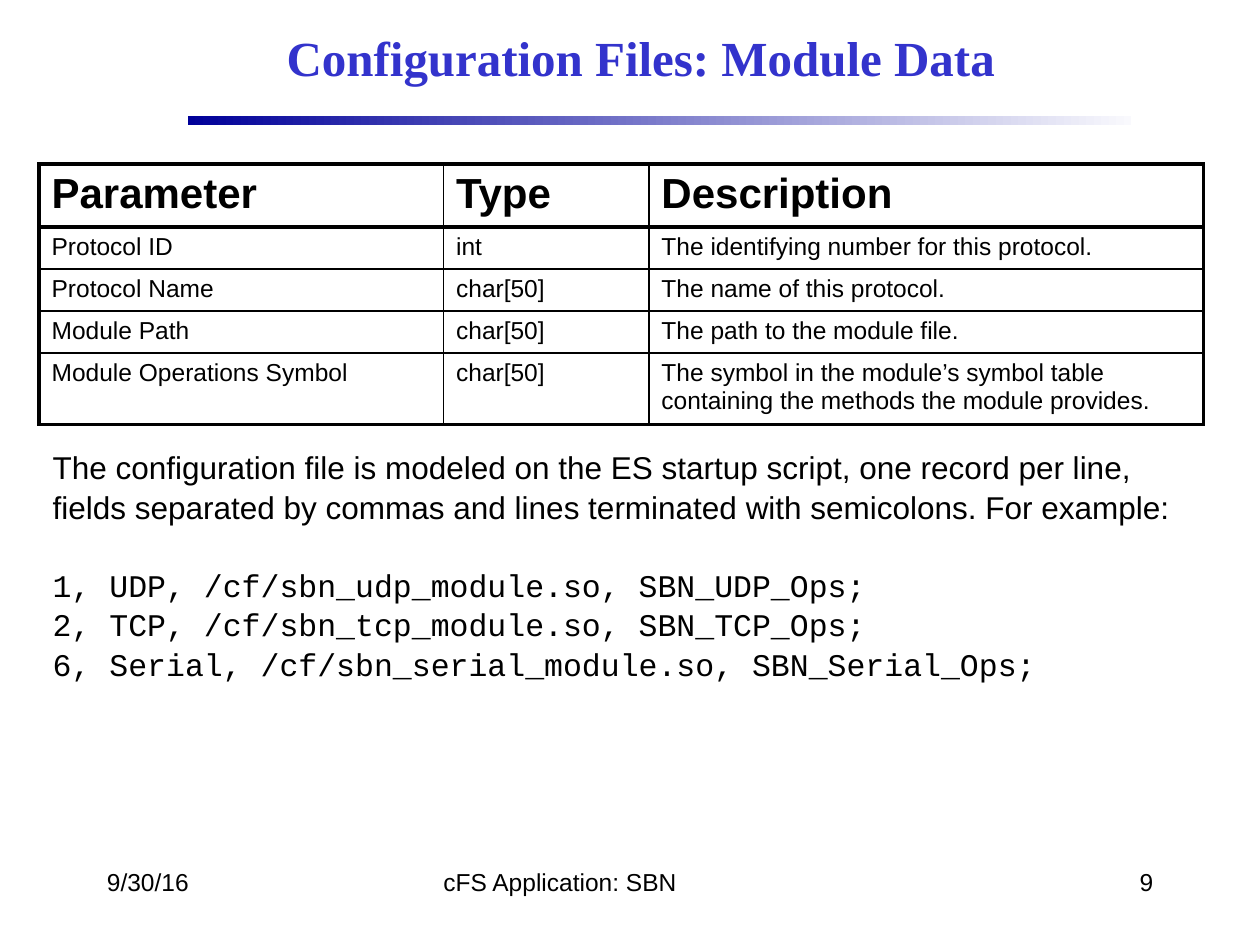
from lxml import etree
from pptx import Presentation
from pptx.dml.color import RGBColor
from pptx.enum.shapes import MSO_SHAPE
from pptx.enum.text import MSO_ANCHOR, PP_ALIGN
from pptx.oxml.ns import qn
from pptx.util import Inches, Pt

RECTANGLE = MSO_SHAPE.RECTANGLE
TOP, MIDDLE = MSO_ANCHOR.TOP, MSO_ANCHOR.MIDDLE
LEFT, CENTER, RIGHT = PP_ALIGN.LEFT, PP_ALIGN.CENTER, PP_ALIGN.RIGHT

BLACK = "000000"
THIN, THICK = 1, 2.25
COLUMN_WIDTHS = [3.21, 1.63, 4.4]
ROW_HEIGHTS = [0.47, 0.32, 0.32, 0.32, 0.54]
PARAMETERS = [
    ("Parameter", "Type", "Description"),
    ("Protocol ID", "int", "The identifying number for this protocol."),
    ("Protocol Name", "char[50]", "The name of this protocol."),
    ("Module Path", "char[50]", "The path to the module file."),
    ("Module Operations Symbol", "char[50]",
     "The symbol in the module’s symbol table containing the methods "
     "the module provides."),
]
EXPLANATION = (
    "The configuration file is modeled on the ES startup script, one record "
    "per line, fields separated by commas and lines terminated with "
    "semicolons. For example:")
RECORDS = [
    "1, UDP, /cf/sbn_udp_module.so, SBN_UDP_Ops;",
    "2, TCP, /cf/sbn_tcp_module.so, SBN_TCP_Ops;",
    "6, Serial, /cf/sbn_serial_module.so, SBN_Serial_Ops;",
]


def color(value):
    return RGBColor.from_string(value)


def style(para, size, name="Arial", bold=False, shade=BLACK, align=LEFT):
    para.alignment = align
    para.font.size = Pt(size)
    para.font.name = name
    para.font.bold = bold
    para.font.color.rgb = color(shade)


def add_text(page, left, top, width, height, lines, anchor=TOP):
    """Add a text box; lines holds pairs of text and style options."""
    box = page.shapes.add_textbox(
        Inches(left), Inches(top), Inches(width), Inches(height))
    frame = box.text_frame
    frame.word_wrap = True
    frame.vertical_anchor = anchor
    for index, (text, options) in enumerate(lines):
        para = frame.add_paragraph() if index else frame.paragraphs[0]
        para.text = text
        style(para, **options)
    return frame


def add_rule(page):
    rule = page.shapes.add_shape(
        RECTANGLE, Inches(1.49), Inches(0.92), Inches(7.49), Inches(0.07))
    rule.shadow.inherit = False
    rule.line.fill.background()
    rule.fill.gradient()
    rule.fill.gradient_angle = 0
    for stop, shade in zip(rule.fill.gradient_stops, ("000099", "F9F9FD")):
        stop.color.rgb = color(shade)


def set_borders(cell, widths):
    """Draw the left, right, top and bottom borders, in that order."""
    properties = cell._tc.get_or_add_tcPr()
    for position, (side, width) in enumerate(zip("LRTB", widths)):
        line = etree.Element(qn(f"a:ln{side}"), w=str(Pt(width)))
        fill = etree.SubElement(line, qn("a:solidFill"))
        etree.SubElement(fill, qn("a:srgbClr"), val=BLACK)
        properties.insert(position, line)


def add_parameter_table(page):
    last_row, last_column = len(ROW_HEIGHTS) - 1, len(COLUMN_WIDTHS) - 1
    table = page.shapes.add_table(
        len(ROW_HEIGHTS), len(COLUMN_WIDTHS), Inches(0.31), Inches(1.3),
        Inches(sum(COLUMN_WIDTHS)), Inches(sum(ROW_HEIGHTS))).table
    table.horz_banding = False
    for column, width in zip(table.columns, COLUMN_WIDTHS):
        column.width = Inches(width)
    for row, height in zip(table.rows, ROW_HEIGHTS):
        row.height = Inches(height)

    for r, values in enumerate(PARAMETERS):
        for c, text in enumerate(values):
            cell = table.cell(r, c)
            cell.text = text
            cell.fill.background()
            header = r == 0
            style(cell.text_frame.paragraphs[0], 24 if header else 14,
                  bold=header)
            # The frame and the line below the header are thick
            thick_sides = (c == 0, c == last_column, r <= 1,
                           r in (0, last_row))
            set_borders(cell, [THICK if thick else THIN
                               for thick in thick_sides])


def add_example(page):
    lines = [(EXPLANATION, {"size": 18})]
    lines += [(record, {"size": 18, "name": "Courier New"})
              for record in RECORDS]
    frame = add_text(page, 0.32, 3.49, 9.09, 1.92, lines)
    for para in frame.paragraphs:
        para.line_spacing = 1.05
    frame.paragraphs[1].space_before = Pt(22)


def add_footer(page):
    for left, width, text, align in (
            (0.75, 2.08, "9/30/16", LEFT),
            (3.42, 3.17, "cFS Application: SBN", LEFT),
            (7.17, 2.08, "9", RIGHT)):
        add_text(page, left, 6.83, width, 0.5,
                 [(text, {"size": 14, "align": align})])


def main():
    deck = Presentation()
    deck.slide_width, deck.slide_height = Inches(10), Inches(7.5)
    page = deck.slides.add_slide(deck.slide_layouts[6])

    # Heading
    add_rule(page)
    title = {"size": 28, "name": "Times New Roman", "bold": True,
             "shade": "3333CC", "align": CENTER}
    add_text(page, 1.5, 0.08, 7.17, 0.75,
             [("Configuration Files: Module Data", title)], MIDDLE)

    # Body and footer
    add_parameter_table(page)
    add_example(page)
    add_footer(page)
    deck.save("out.pptx")


if __name__ == "__main__":
    main()
